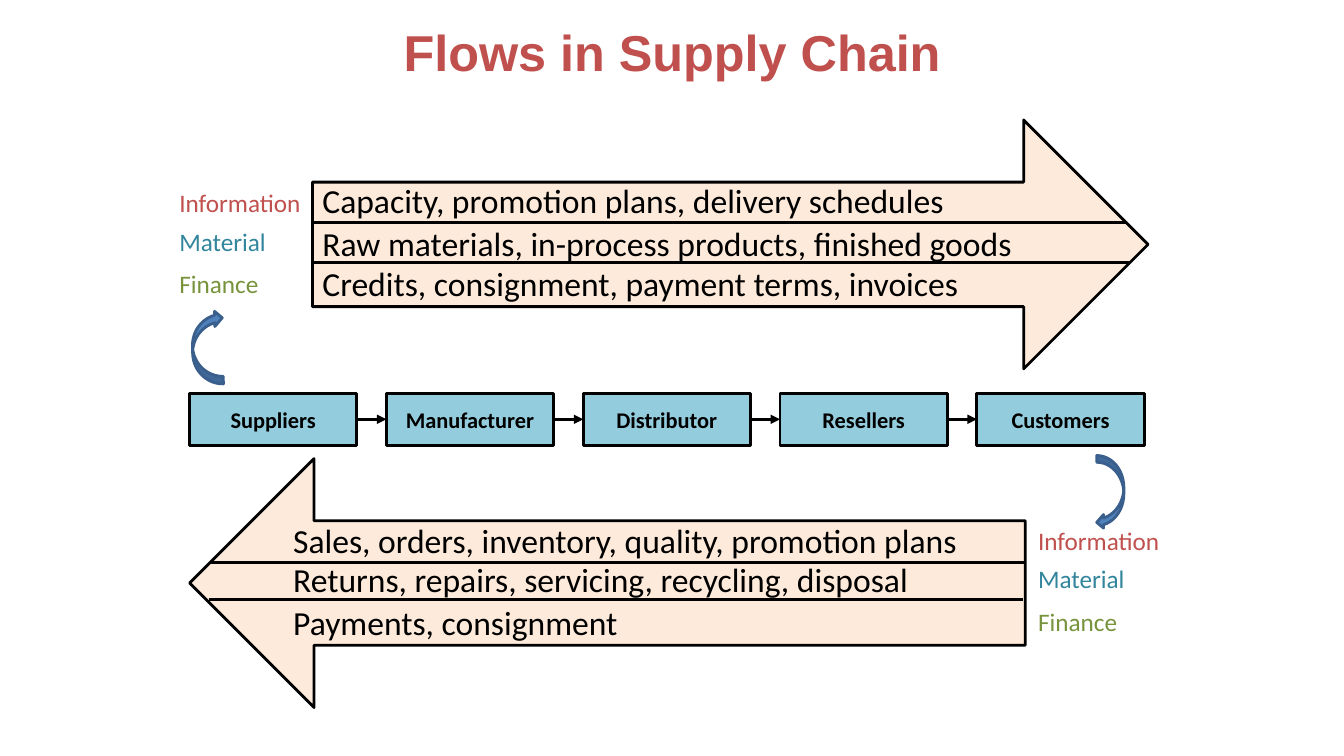
from lxml import etree
from pptx import Presentation
from pptx.dml.color import RGBColor
from pptx.enum.shapes import MSO_CONNECTOR, MSO_SHAPE
from pptx.enum.text import MSO_ANCHOR, PP_ALIGN
from pptx.oxml.ns import qn
from pptx.util import Pt

BLACK = "000000"
PEACH = "FDEADA"
FLOWS = [("Information", "C0504D"), ("Material", "31859C"), ("Finance", "77933C")]
STAGES = ["Suppliers", "Manufacturer", "Distributor", "Resellers", "Customers"]
SUPPLY_TEXTS = [
    "Capacity, promotion plans, delivery schedules",
    "Raw materials, in-process products, finished goods",
    "Credits, consignment, payment terms, invoices",
]
RETURN_TEXTS = [
    "Sales, orders, inventory, quality, promotion plans",
    "Returns, repairs, servicing, recycling, disposal",
    "Payments, consignment",
]
STAGE_LEFT, STAGE_TOP = 135.4, 280.8
STAGE_WIDTH, STAGE_HEIGHT = 119.5, 37.4
STAGE_STEP = 140.6


def color(value):
    return RGBColor.from_string(value)


def write(shape, text, size, value, font="Calibri", bold=False,
          align=PP_ALIGN.LEFT, anchor=MSO_ANCHOR.TOP):
    frame = shape.text_frame
    frame.word_wrap = True
    frame.vertical_anchor = anchor
    paragraph = frame.paragraphs[0]
    paragraph.alignment = align
    run = paragraph.add_run()
    run.text = text
    run.font.name = font
    run.font.size = Pt(size)
    run.font.bold = bold
    run.font.color.rgb = color(value)


def add_text(slide, left, top, width, height, text, size, value, **style):
    box = slide.shapes.add_textbox(Pt(left), Pt(top), Pt(width), Pt(height))
    write(box, text, size, value, **style)


def add_shape(slide, kind, left, top, width, height, fill, line=BLACK):
    shape = slide.shapes.add_shape(kind, Pt(left), Pt(top), Pt(width), Pt(height))
    shape.shadow.inherit = False
    shape.fill.solid()
    shape.fill.fore_color.rgb = color(fill)
    shape.line.color.rgb = color(line)
    shape.line.width = Pt(2)
    return shape


def add_line(slide, left, right, y, arrow=False):
    line = slide.shapes.add_connector(
        MSO_CONNECTOR.STRAIGHT, Pt(left), Pt(y), Pt(right), Pt(y))
    line.line.color.rgb = color(BLACK)
    line.line.width = Pt(2.25)
    if arrow:
        outline = line.line._get_or_add_ln()
        etree.SubElement(outline, qn("a:tailEnd"), type="triangle")
    etree.SubElement(line._element.spPr, qn("a:effectLst"))


def add_flow_arrow(slide, kind, left, top, dividers, text_left, text_width,
                   text_tops, texts):
    add_shape(slide, kind, left, top, 596.9, 177.8, PEACH)
    for start, y in dividers:
        add_line(slide, start, start + 581.8, y)
    for text_top, text in zip(text_tops, texts):
        add_text(slide, text_left, text_top, text_width, 36.5, text, 24, BLACK)


def add_flow_labels(slide, left, top):
    for offset, (name, value) in zip((0, 27.6, 57.8), FLOWS):
        add_text(slide, left, top + offset, 116, 29, name, 18, value)


def add_stages(slide):
    for index, name in enumerate(STAGES):
        left = STAGE_LEFT + index * STAGE_STEP
        stage = add_shape(slide, MSO_SHAPE.RECTANGLE, left, STAGE_TOP,
                          STAGE_WIDTH, STAGE_HEIGHT, "93CDDD")
        write(stage, name, 16, BLACK, bold=True, align=PP_ALIGN.CENTER,
              anchor=MSO_ANCHOR.MIDDLE)
    for index in range(len(STAGES) - 1):
        left = STAGE_LEFT + index * STAGE_STEP
        add_line(slide, left + STAGE_WIDTH - 1, left + STAGE_STEP,
                 STAGE_TOP + STAGE_HEIGHT / 2, arrow=True)


def add_turn(slide, left, top, width, rotation=0):
    turn = add_shape(slide, MSO_SHAPE.CURVED_LEFT_ARROW, left, top, width, 52.6,
                     "4F81BD", "3A5F8C")
    turn.rotation = rotation


def main():
    presentation = Presentation()
    presentation.slide_width = Pt(960)
    presentation.slide_height = Pt(540)
    slide = presentation.slides.add_slide(presentation.slide_layouts[6])

    add_text(slide, 164.2, 18.7, 642.2, 36, "Flows in Supply Chain ", 36, "C0504D",
             font="Arial", bold=True, align=PP_ALIGN.CENTER,
             anchor=MSO_ANCHOR.MIDDLE)
    add_flow_arrow(slide, MSO_SHAPE.RIGHT_ARROW, 223.2, 85.7,
                   [(222.5, 159.1), (224.6, 187.2)],
                   223.2, 558.7, (125.3, 155.5, 184.3), SUPPLY_TEXTS)
    add_flow_arrow(slide, MSO_SHAPE.LEFT_ARROW, 135.4, 327.6,
                   [(150.5, 401.8), (149, 428.4)],
                   202.3, 527, (367.9, 396, 426.2), RETURN_TEXTS)
    add_stages(slide)
    add_flow_labels(slide, 121, 130.3)
    add_flow_labels(slide, 734.4, 371.5)
    add_turn(slide, 783.4, 325.4, 19.4)
    add_turn(slide, 137.5, 221.8, 21.6, rotation=179)
    presentation.save("out.pptx")


if __name__ == "__main__":
    main()
